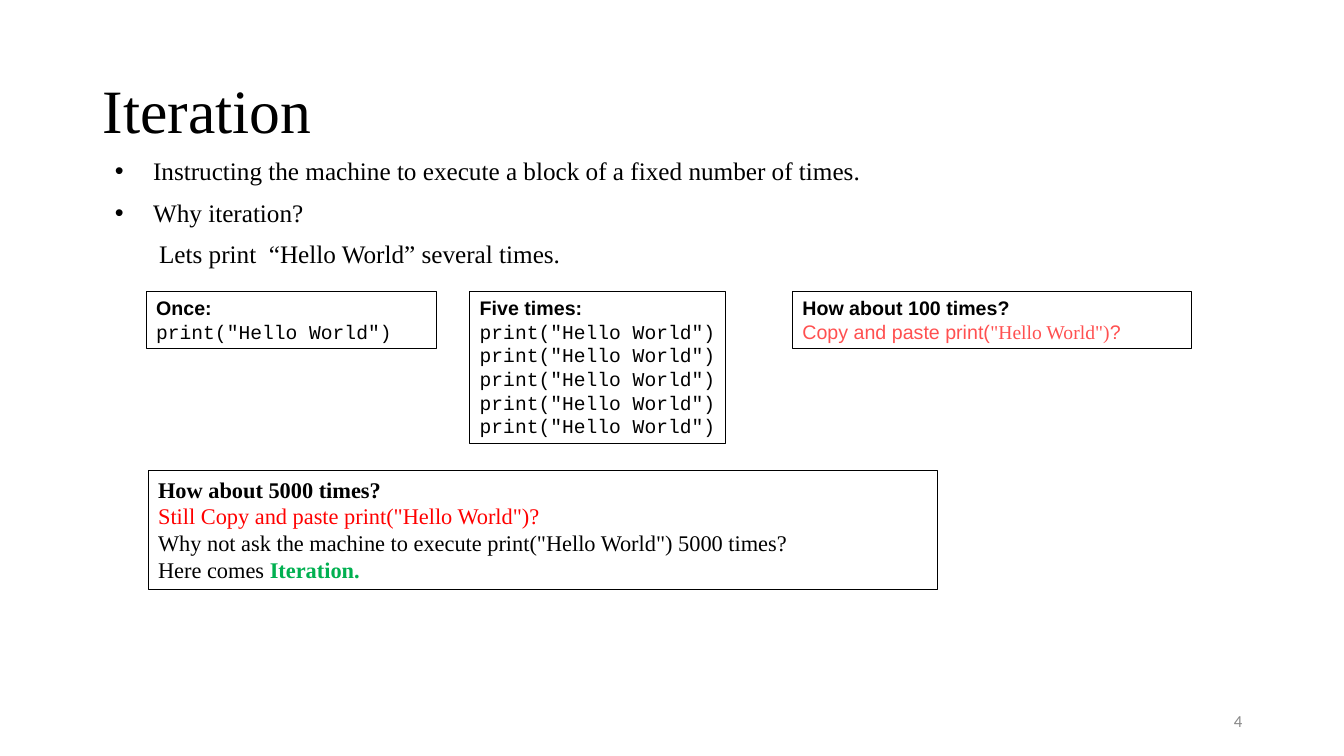
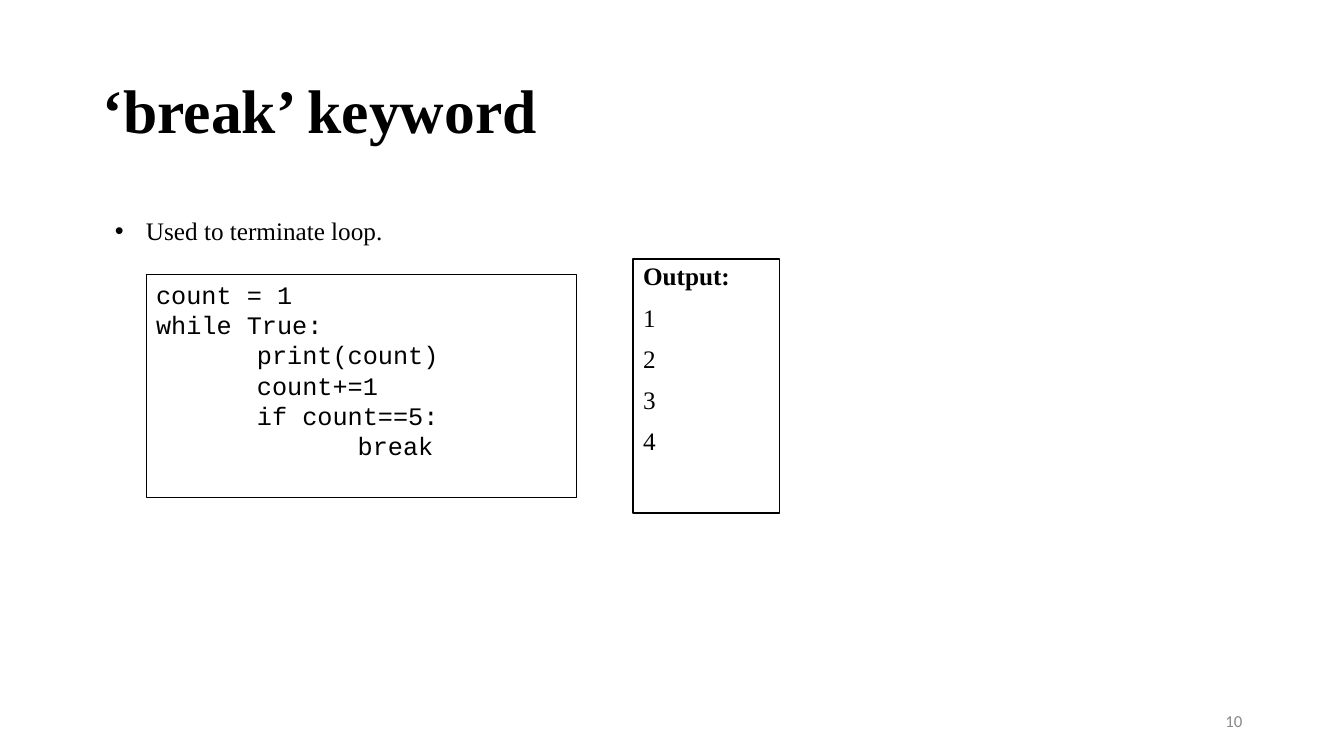
from dataclasses import dataclass

from lxml import etree
from pptx import Presentation
from pptx import util as u
from pptx.dml.color import RGBColor
from pptx.enum import shapes, text
from pptx.oxml.ns import qn

PX = 9144
BLACK = RGBColor(0x00, 0x00, 0x00)
GREY = RGBColor(0x88, 0x88, 0x88)
CORAL = RGBColor(0xFF, 0x50, 0x50)
RED = RGBColor(0xFF, 0x00, 0x00)
GREEN = RGBColor(0x00, 0xB0, 0x50)
SERIF, SANS, MONO, FOOTER = "Times New Roman", "Arial", "Courier New", "Calibri"
HELLO = 'print("Hello World")'


@dataclass
class Span:
    """A stretch of text with one look."""
    words: str
    font: str = SERIF
    color: RGBColor = BLACK
    bold: bool = False


@dataclass
class Line:
    """A paragraph of spans, indented by px and with an optional hanging bullet."""
    spans: list
    indent: int = 0
    hang: int = 0


def px(length):
    """Turn px into EMU."""
    return u.Emu(length * PX)


def indent(paragraph, line):
    """Indent a paragraph and give it a bullet if it hangs."""
    properties = paragraph._p.get_or_add_pPr()
    properties.set("marL", str(px(line.indent)))
    properties.set("indent", str(px(-line.hang)))
    if line.hang:
        etree.SubElement(properties, qn("a:buFont")).set("typeface", SANS)
        etree.SubElement(properties, qn("a:buChar")).set("char", "•")


def write(frame, lines, size, spacing=None, before=0, align=text.PP_ALIGN.LEFT):
    """Fill a text frame with lines of one size."""
    frame.word_wrap = True
    for number, line in enumerate(lines):
        paragraph = frame.paragraphs[0] if number == 0 else frame.add_paragraph()
        paragraph.alignment = align
        paragraph.line_spacing = spacing
        paragraph.space_before = u.Pt(before)
        indent(paragraph, line)
        for span in line.spans:
            run = paragraph.add_run()
            run.text = span.words
            run.font.name = span.font
            run.font.size = u.Pt(size)
            run.font.bold = span.bold
            run.font.color.rgb = span.color


def label(slide, box, lines, size, anchor=text.MSO_ANCHOR.TOP, **style):
    """Place unframed text in a box."""
    frame = slide.shapes.add_textbox(*map(px, box)).text_frame
    frame.vertical_anchor = anchor
    write(frame, lines, size, **style)


def panel(slide, box, lines, size, border=0.75, **style):
    """Place text in a box with a thin black border."""
    rectangle = slide.shapes.add_shape(shapes.MSO_SHAPE.RECTANGLE, *map(px, box))
    rectangle.shadow.inherit = False
    rectangle.fill.background()
    rectangle.line.color.rgb = BLACK
    rectangle.line.width = u.Pt(border)
    rectangle.text_frame.vertical_anchor = text.MSO_ANCHOR.TOP
    write(rectangle.text_frame, lines, size, **style)


def titled_slide(deck, title, number, bold=False):
    """Add a slide with its title and page number."""
    slide = deck.slides.add_slide(deck.slide_layouts[6])
    middle = text.MSO_ANCHOR.MIDDLE
    label(slide, (92, 40, 1150, 145), [Line([Span(title, bold=bold)])], 44, middle, spacing=0.9)
    label(slide, (942, 695, 300, 40), [Line([Span(number, FOOTER, GREY)])], 12, middle,
          align=text.PP_ALIGN.RIGHT)
    return slide


def repeat_panels(slide, left, top):
    """Place the three boxes that print a greeting more and more often."""
    call = Line([Span(HELLO, MONO)])
    paste = Line([Span("Copy and paste print(", SANS, CORAL),
                  Span('"Hello World")', SERIF, CORAL), Span("?", SANS, CORAL)])
    for offset, width, height, heading, body in (
            (0, 288, 57, "Once:", [call]),
            (321, 254, 151, "Five times:", [call] * 5),
            (641, 396, 57, "How about 100 times?", [paste])):
        lines = [Line([Span(heading, SANS, bold=True)]), *body]
        panel(slide, (left + offset, top, width, height), lines, 14)


def iteration_slide(deck):
    """Build the slide on why iteration is needed."""
    slide = titled_slide(deck, "Iteration", "4")
    label(slide, (92, 153, 1150, 523), [
        Line([Span("Instructing the machine to execute a block of a fixed number of times.")], 50, 38),
        Line([Span("Why iteration?")], 50, 38),
        Line([Span("Lets print  “Hello World” several times.")], 56),
    ], 18, spacing=0.9, before=10)
    repeat_panels(slide, 145, 289)
    panel(slide, (147, 467, 783, 118), [
        Line([Span("How about 5000 times?", bold=True)]),
        Line([Span(f"Still Copy and paste {HELLO}?", color=RED)]),
        Line([Span(f"Why not ask the machine to execute {HELLO} 5000 times?")]),
        Line([Span("Here comes "), Span("Iteration.", color=GREEN, bold=True)]),
    ], 16)


def break_slide(deck):
    """Build the slide on leaving a loop early."""
    slide = titled_slide(deck, "‘break’ keyword", "10", bold=True)
    label(slide, (104, 209, 853, 40), [Line([Span("Used to terminate loop.")], 31, 31)], 18)
    code = ((0, "count = 1"), (0, "while True:"), (1, "print(count)"),
            (1, "count+=1"), (1, "if count==5:"), (2, "break"))
    panel(slide, (145, 272, 427, 222),
          [Line([Span(words, MONO)], depth * 100) for depth, words in code], 18)
    output = [Line([Span("Output:", bold=True)])]
    output += [Line([Span(str(count))]) for count in range(1, 5)]
    panel(slide, (628, 257, 145, 252), output, 18, border=1, spacing=0.9, before=10)


def main():
    """Build and save the deck."""
    deck = Presentation()
    deck.slide_width, deck.slide_height = u.Inches(13.33), u.Inches(7.5)
    iteration_slide(deck)
    break_slide(deck)
    deck.save("out.pptx")


if __name__ == "__main__":
    main()
